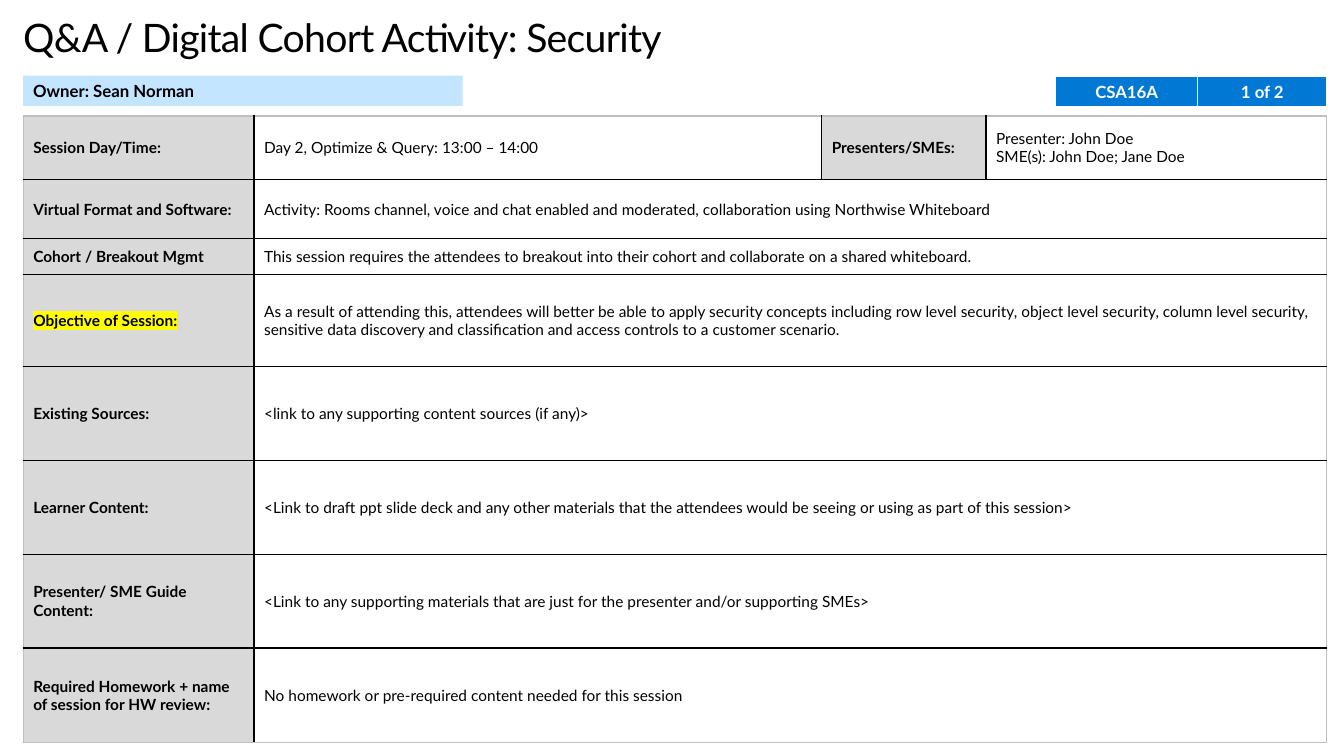
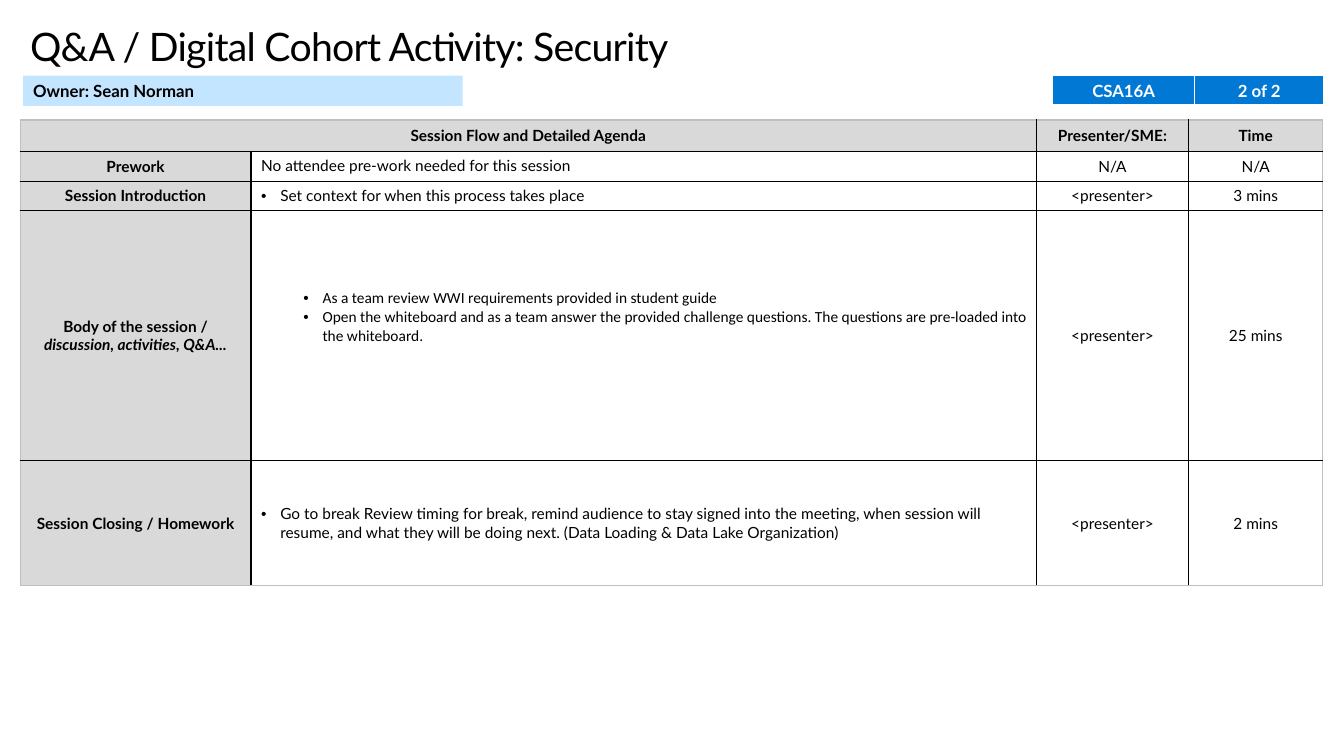
from lxml import etree
from pptx import Presentation
from pptx import util as u
from pptx.dml.color import RGBColor
from pptx.enum import shapes, text
from pptx.oxml.ns import qn

COLOURS = {"ink": "000000", "paper": "FFFFFF", "label": "D9D9D9", "rim": "BFBFBF",
           "owner": "C3E5FF", "badge": "0078D4", "marker": "FFFF00"}
LEFT, CENTER = text.PP_ALIGN.LEFT, text.PP_ALIGN.CENTER
TOP, MIDDLE = text.MSO_ANCHOR.TOP, text.MSO_ANCHOR.MIDDLE

# Looks of text: font values, fill, alignment, anchor and list indent
LOOKS = {
    "title": {"font": {"size": u.Pt(28), "bold": False}},
    "owner": {"font": {"size": u.Pt(12), "bold": True}},
    "badge": {"font": {"size": u.Pt(12), "bold": True}, "fill": "badge",
              "ink": "paper", "align": CENTER, "anchor": TOP},
    "label": {"font": {"bold": True}, "fill": "label"},
    "heading": {"font": {"bold": True}, "fill": "label", "align": CENTER},
    "plain": {},
    "note": {"anchor": TOP},
    "centred": {"align": CENTER},
    "bullet": {"indent": 0.19},
    "step": {"indent": 0.7, "font": {"name": "Calibri"}},
}
GRID = {side: ("ink", 1) for side in "LRTB"}
BADGE_EDGES = {"L": ("paper", 1), "R": ("paper", 1), "T": ("paper", 1), "B": ("paper", 3)}


class Deck:
    def __init__(self):
        self.prs = Presentation()
        self.prs.slide_width, self.prs.slide_height = u.Inches(13.33), u.Inches(7.5)
        self.slide = None

    def new_slide(self):
        self.slide = self.prs.slides.add_slide(self.prs.slide_layouts[6])

    @staticmethod
    def colour(name):
        return RGBColor.from_string(COLOURS[name])

    def add_words(self, paragraph, words, look, **extra):
        run = paragraph.add_run()
        run.text = words
        values = {"name": "Lato", "size": u.Pt(11), "bold": False}
        for name, value in {**values, **look.get("font", {}), **extra}.items():
            setattr(run.font, name, value)
        run.font.color.rgb = self.colour(look.get("ink", "ink"))

    def fill_text(self, frame, words, look):
        for index, line in enumerate(words.split("\n")):
            paragraph = frame.add_paragraph() if index else frame.paragraphs[0]
            paragraph.alignment = look.get("align", LEFT)
            if "indent" in look:
                self.bullet(paragraph, look["indent"])
            self.add_words(paragraph, line, look)

    @staticmethod
    def bullet(paragraph, margin):
        props = paragraph._p.get_or_add_pPr()
        props.set("marL", str(u.Inches(margin)))
        props.set("indent", str(-u.Inches(0.19)))
        etree.SubElement(props, qn("a:buFont"), typeface="Arial")
        etree.SubElement(props, qn("a:buChar"), char="•")

    def title(self, words, at, inset):
        box = self.slide.shapes.add_textbox(*map(u.Inches, at))
        frame = box.text_frame
        frame.word_wrap = True
        frame.vertical_anchor = MIDDLE
        for side, size in zip(("left", "right", "top", "bottom"), inset):
            setattr(frame, "margin_" + side, u.Inches(size))
        self.fill_text(frame, words, LOOKS["title"])
        frame.paragraphs[0].runs[0].font._element.set("spc", "-50")

    def owner(self, words):
        band = self.slide.shapes.add_shape(
            shapes.MSO_SHAPE.RECTANGLE, *map(u.Inches, (0.23, 0.75, 4.36, 0.3)))
        band.shadow.inherit = False
        band.fill.solid()
        band.fill.fore_color.rgb = self.colour("owner")
        band.line.fill.background()
        band.text_frame.word_wrap = True
        band.text_frame.vertical_anchor = MIDDLE
        self.fill_text(band.text_frame, words, LOOKS["owner"])

    def edge(self, cell, side, colour, width):
        line = etree.SubElement(cell._tc.get_or_add_tcPr(), qn("a:ln" + side),
                                w=str(u.Pt(width)))
        fill = etree.SubElement(line, qn("a:solidFill"))
        etree.SubElement(fill, qn("a:srgbClr"), val=COLOURS[colour])

    def table(self, corner, cols, rows, content, edges=GRID, rim=("rim", 1)):
        """Each row of content lists (look, words, columns spanned)."""
        at = (*corner, sum(cols), sum(rows))
        grid = self.slide.shapes.add_table(len(rows), len(cols), *map(u.Inches, at)).table
        grid.first_row = grid.horz_banding = False
        for column, width in zip(grid.columns, cols):
            column.width = u.Inches(width)
        for r, (height, entries) in enumerate(zip(rows, content)):
            grid.rows[r].height = u.Inches(height)
            c = 0
            for name, words, span in entries:
                look, cell, last = LOOKS[name], grid.cell(r, c), c + span - 1
                if span > 1:
                    cell.merge(grid.cell(r, last))
                outer = {"L": c == 0, "R": last == len(cols) - 1,
                         "T": r == 0, "B": r == len(rows) - 1}
                for side, line in edges.items():
                    self.edge(cell, side, *(rim if rim and outer[side] else line))
                cell.fill.solid()
                cell.fill.fore_color.rgb = self.colour(look.get("fill", "paper"))
                cell.vertical_anchor = look.get("anchor", MIDDLE)
                self.fill_text(cell.text_frame, words, look)
                c += span
        return grid

    def header(self, page, badge_corner, badge_height, title_at, title_inset):
        self.new_slide()
        self.title("Q&A / Digital Cohort Activity: Security", title_at, title_inset)
        self.owner("Owner:\u00a0Sean Norman")
        self.table(badge_corner, (1.41, 1.28), (badge_height,),
                   [[("badge", "CSA16A", 1), ("badge", f"{page} of 2", 1)]],
                   BADGE_EDGES, None)


deck = Deck()

# Slide 1: session overview
deck.header(1, (10.47, 0.76), 0.31, (0.23, 0.13, 12.87, 0.47), (0, 0, 0, 0))
topics = [
    ("Virtual Format and Software:",
     "Activity: Rooms channel, voice and chat enabled and moderated, "
     "collaboration using Northwise Whiteboard"),
    ("Cohort / Breakout Mgmt",
     "This session requires the attendees to breakout into their cohort and "
     "collaborate on a shared whiteboard."),
    ("Objective of Session:",
     "As a result of attending this, attendees will better be able to apply security "
     "concepts including row level security, object level security, column level "
     "security, sensitive data discovery and classification and access controls to a "
     "customer scenario."),
    ("Existing Sources:", "<link to any supporting content sources (if any)>"),
    ("Learner Content:",
     "<Link to draft ppt slide deck and any other materials that the attendees would "
     "be seeing or using as part of this session>"),
    ("Presenter/ SME Guide Content:",
     "<Link to any supporting materials that are just for the presenter and/or "
     "supporting SMEs>"),
    ("Required Homework + name of session for HW review:",
     "No homework or pre-required content needed for this session"),
]
schedule = [("label", "Session Day/Time:", 1),
            ("plain", "Day 2, Optimize & Query: 13:00 – 14:00", 1),
            ("label", "Presenters/SMEs:", 1),
            ("plain", "Presenter: John Doe\nSME(s): John Doe; Jane Doe", 1)]
overview = deck.table(
    (0.23, 1.15), (2.29, 5.63, 1.63, 3.38),
    (0.63, 0.59, 0.35, 0.92, 0.93, 0.93, 0.93, 0.94),
    [schedule] + [[("label", topic, 1), ("plain", detail, 3)] for topic, detail in topics])

# Marker behind the objective label
objective = overview.cell(3, 0).text_frame.paragraphs[0].runs[0]
marker = etree.Element(qn("a:highlight"))
etree.SubElement(marker, qn("a:srgbClr"), val=COLOURS["marker"])
objective.font._element.find(qn("a:solidFill")).addnext(marker)

# Slide 2: session flow
deck.header(2, (10.44, 0.75), 0.29, (0.2, 0.17, 12.9, 0.57), (0.1, 0.1, 0.05, 0.05))
flow = [
    ("Prework", "note", "No attendee pre-work needed for this session", "N/A", "N/A"),
    ("Session Introduction", "bullet", "Set context for when this process takes place",
     "<presenter>", "3 mins"),
    ("Body of the session /", "step",
     "As a team review WWI requirements provided in student guide\n"
     "Open the whiteboard and as a team answer the provided challenge questions. "
     "The questions are pre-loaded into the whiteboard.", "<presenter>", "25 mins"),
    ("Session Closing / Homework", "bullet",
     "Go to break Review timing for break, remind audience to stay signed into the "
     "meeting, when session will resume, and what they will be doing next. "
     "(Data Loading & Data Lake Organization)", "<presenter>", "2 mins"),
]
agenda = deck.table(
    (0.2, 1.19), (2.29, 7.79, 1.51, 1.33), (0.31, 0.3, 0.29, 2.48, 1.24),
    [[("heading", "Session Flow and Detailed Agenda", 2),
      ("heading", "Presenter/SME:", 1), ("heading", "Time", 1)]]
    + [[("heading", part, 1), (look, detail, 1), ("centred", who, 1), ("centred", time, 1)]
       for part, look, detail, who, time in flow])

# Body row: italic second line, and steps raised above the middle
body = agenda.cell(3, 0).text_frame.paragraphs[0]
body.add_line_break()
deck.add_words(body, "discussion, activities, Q&A...", LOOKS["heading"], italic=True)
steps = agenda.cell(3, 1)
for side, size in {"left": 0.01, "right": 0.01, "top": 0.01, "bottom": 0.38}.items():
    setattr(steps, "margin_" + side, u.Inches(size))

deck.prs.save("out.pptx")
